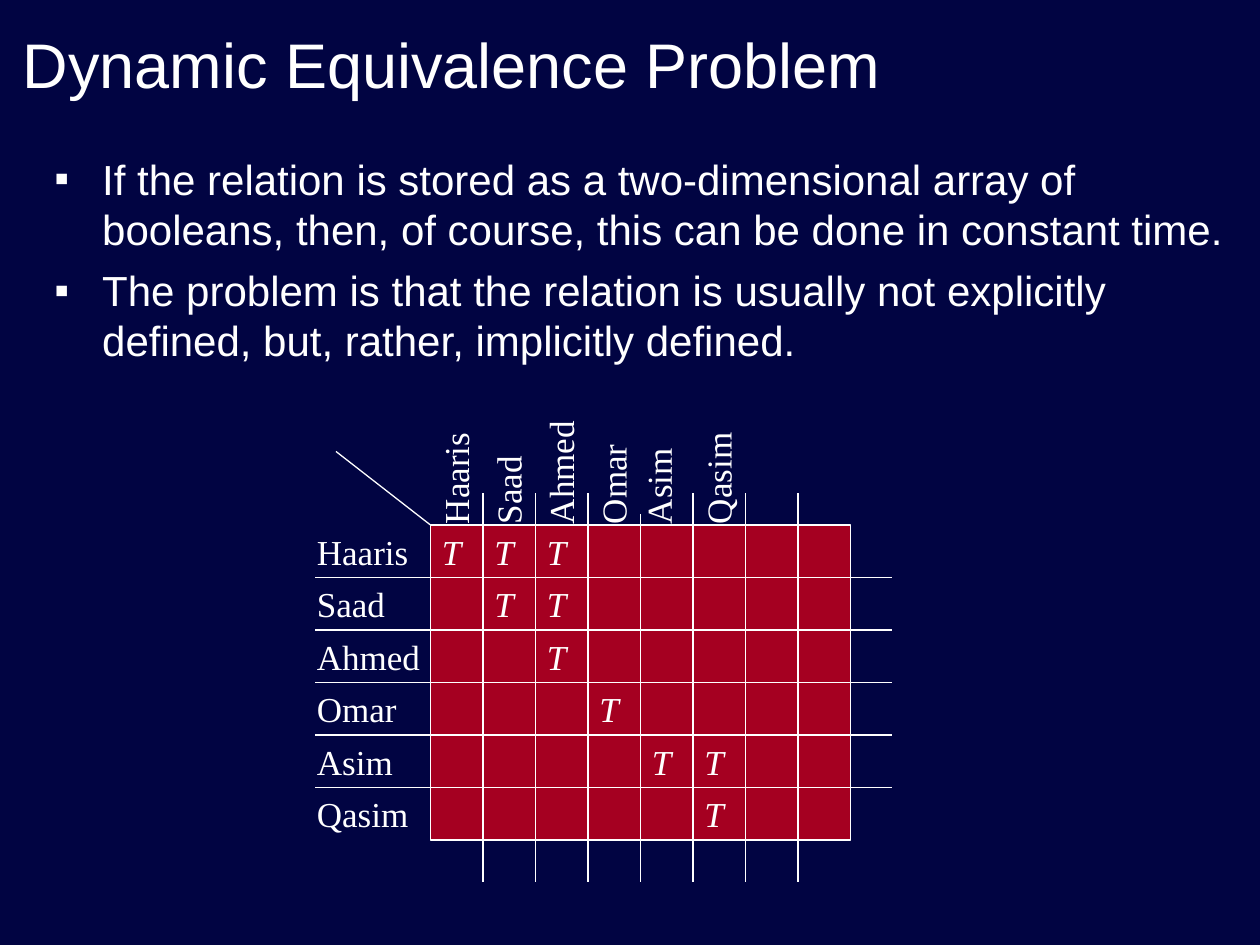
from dataclasses import dataclass

from lxml import etree
from pptx import Presentation
from pptx.dml.color import RGBColor
from pptx.enum.shapes import MSO_CONNECTOR, MSO_SHAPE
from pptx.enum.text import MSO_ANCHOR, MSO_AUTO_SIZE, PP_ALIGN
from pptx.oxml.ns import qn
from pptx.util import Inches, Pt

STRAIGHT = MSO_CONNECTOR.STRAIGHT
RECTANGLE = MSO_SHAPE.RECTANGLE
MIDDLE, TOP = MSO_ANCHOR.MIDDLE, MSO_ANCHOR.TOP
FIT_SHAPE = MSO_AUTO_SIZE.SHAPE_TO_FIT_TEXT
LEFT, CENTER = PP_ALIGN.LEFT, PP_ALIGN.CENTER


@dataclass(frozen=True)
class Theme:
    background: str = "010442"
    ink: str = "FFFFFF"
    matrix: str = "A50021"
    sans: str = "Arial"
    serif: str = "Times New Roman"
    title: int = 36
    body: int = 24
    label: int = 20
    line: float = 0.75


THEME = Theme()

# The page is a grid of 24 columns by 18 rows; all lengths are in cells
PAGE_COLUMNS, PAGE_ROWS = 24, 18
CELL = Inches(10) / PAGE_COLUMNS

TITLE = "Dynamic Equivalence Problem"
POINTS = [
    "If the relation is stored as a two-dimensional array of booleans, "
    "then, of course, this can be done in constant time.",
    "The problem is that the relation is usually not explicitly defined, "
    "but, rather, implicitly defined.",
]
# Name and width of its label
NAMES = [("Haaris", 2.25), ("Saad", 1.82), ("Ahmed", 2.5),
         ("Omar", 2.05), ("Asim", 1.97), ("Qasim", 2.25)]
COLUMN_NUDGE = {"Asim": -0.14}
# Columns marked true in each row
TRUE_COLUMNS = [(0, 1, 2), (1, 2), (2,), (3,), (4, 5), (5,)]
MATRIX_COLUMNS, MATRIX_ROWS = 8, 6
LABEL_HEIGHT = 1.06


def cells(*lengths):
    return [round(length * CELL) for length in lengths]


def color(value):
    return RGBColor.from_string(value)


def style(para, size, font, italic=None):
    para.font.size = Pt(size)
    para.font.name = font
    para.font.italic = italic
    para.font.color.rgb = color(THEME.ink)


def add_text(page, box, text, anchor=TOP):
    frame = page.shapes.add_textbox(*cells(*box)).text_frame
    frame.word_wrap = True
    frame.vertical_anchor = anchor
    frame.text = text
    return frame


def add_label(page, box, text, align=LEFT, italic=None, rotation=0):
    shape = page.shapes.add_textbox(*cells(*box))
    shape.rotation = rotation
    frame = shape.text_frame
    frame.word_wrap = False
    frame.auto_size = FIT_SHAPE
    frame.text = text
    para = frame.paragraphs[0]
    para.alignment = align
    style(para, THEME.label, THEME.serif, italic)


def add_line(page, x1, y1, x2, y2):
    line = page.shapes.add_connector(STRAIGHT, *cells(x1, y1, x2, y2))
    line.line.color.rgb = color(THEME.ink)
    line.line.width = Pt(THEME.line)
    etree.SubElement(line._element.spPr, qn("a:effectLst"))


def add_bullet(para):
    props = para._p.get_or_add_pPr()
    props.set("marL", str(Inches(0.38)))
    props.set("indent", str(-Inches(0.38)))
    tint = etree.SubElement(props, qn("a:buClr"))
    etree.SubElement(tint, qn("a:srgbClr"), val=THEME.ink)
    etree.SubElement(props, qn("a:buFont"), typeface=THEME.sans)
    etree.SubElement(props, qn("a:buChar"), char="▪")


def draw_title(page, box):
    frame = add_text(page, box, TITLE, MIDDLE)
    style(frame.paragraphs[0], THEME.title, THEME.sans)


def draw_points(page, box):
    frame = add_text(page, box, "\n".join(POINTS))
    for index, para in enumerate(frame.paragraphs):
        add_bullet(para)
        para.space_before = Pt(6 if index else 0)
        style(para, THEME.body, THEME.sans)


def draw_matrix(page, box):
    left, top, width, height = box
    right, bottom = left + width, top + height

    # Filled field
    field = page.shapes.add_shape(RECTANGLE, *cells(*box))
    field.shadow.inherit = False
    field.fill.solid()
    field.fill.fore_color.rgb = color(THEME.matrix)
    field.line.color.rgb = color(THEME.ink)
    field.line.width = Pt(THEME.line)

    # Rules run past the field; the fourth column rule starts lower
    for column in range(1, MATRIX_COLUMNS):
        rise = 0.2 if column == 4 else 0.6
        add_line(page, left + column, top - rise, left + column, bottom + 0.8)
    for row in range(1, MATRIX_ROWS):
        add_line(page, left - 2.2, top + row, right + 0.8, top + row)
    add_line(page, left, top, left - 1.8, top - 1.4)

    # Row names, column names and true marks
    for index, (name, label_width) in enumerate(NAMES):
        row_top = top + index - 0.02
        add_label(page, (left - 2.4, row_top, label_width, LABEL_HEIGHT), name)

        middle_x = left + index + 0.48 + COLUMN_NUDGE.get(name, 0)
        middle_y = top + 0.22 - label_width / 2
        turned = (middle_x - label_width / 2, middle_y - LABEL_HEIGHT / 2,
                  label_width, LABEL_HEIGHT)
        add_label(page, turned, name, rotation=270)

        for column in TRUE_COLUMNS[index]:
            mark = (left + column - 0.02, row_top, 0.84, LABEL_HEIGHT)
            add_label(page, mark, "T", CENTER, italic=True)


def main():
    deck = Presentation()
    deck.slide_width, deck.slide_height = cells(PAGE_COLUMNS, PAGE_ROWS)
    page = deck.slides.add_slide(deck.slide_layouts[6])
    page.background.fill.solid()
    page.background.fill.fore_color.rgb = color(THEME.background)

    draw_title(page, (0.2, 0, 21.6, 2.4))
    draw_points(page, (0.8, 2.8, 22.8, 6.4))
    draw_matrix(page, (8.2, 10, MATRIX_COLUMNS, MATRIX_ROWS))
    deck.save("out.pptx")


if __name__ == "__main__":
    main()
